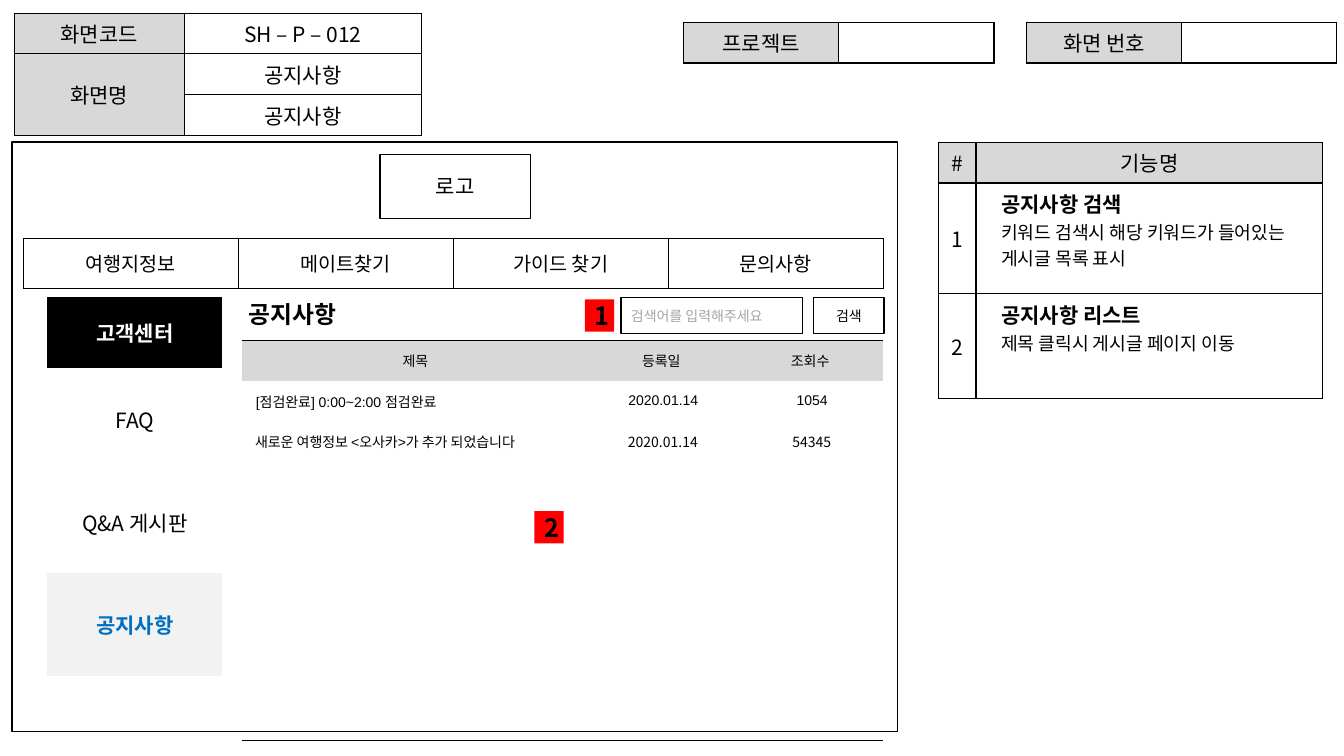
import dataclasses
import typing

import lxml.etree
import pptx
import pptx.dml.color
import pptx.enum.shapes
import pptx.enum.text
import pptx.oxml.ns
import pptx.util

SLIDE_WIDTH = pptx.util.Inches(13.33)
SLIDE_HEIGHT = pptx.util.Inches(7.5)
COLORS = {"black": "000000", "white": "FFFFFF", "header": "D8D8D8", "selected": "F2F2F2",
          "link": "0070C0", "hint": "A5A5A5", "marker": "FF0000"}
SANS = "Noto Sans CJK KR"
HEADER_ROW = 5.4
SIDES = {"L": "left", "R": "right", "T": "top", "B": "bottom"}
CENTER = pptx.enum.text.PP_ALIGN.CENTER
LEFT = pptx.enum.text.PP_ALIGN.LEFT
MIDDLE = pptx.enum.text.MSO_ANCHOR.MIDDLE
TOP = pptx.enum.text.MSO_ANCHOR.TOP


def across(percent: float) -> int:
    return round(SLIDE_WIDTH * percent / 100)


def down(percent: float) -> int:
    return round(SLIDE_HEIGHT * percent / 100)


@dataclasses.dataclass
class Line:
    text: str
    format: dict[str, typing.Any] = dataclasses.field(default_factory=dict)


@dataclasses.dataclass
class Cell:
    lines: list[Line]
    fill: str | None = None
    anchor: typing.Any = MIDDLE
    borders: tuple[str, ...] = tuple(SIDES)


@dataclasses.dataclass
class Grid:
    left: float
    top: float
    columns: list[float]
    rows: list[float]
    cells: list[list[Cell]]
    line_width: float = 1
    inset: float = 0.67
    size: float = 15


@dataclasses.dataclass
class Box:
    left: float
    top: float
    width: float
    height: float
    text: str = ""
    fill: str | None = "white"
    outlined: bool = True
    anchor: typing.Any = MIDDLE
    format: dict[str, typing.Any] = dataclasses.field(default_factory=dict)


def add_text(paragraph, text: str, *, size: float = 15, font: str = SANS, color: str = "black",
             bold: bool = False, align=CENTER, indent: float = 0) -> None:
    paragraph.alignment = align
    if indent:
        paragraph._p.get_or_add_pPr().set("marL", str(across(indent)))
    if not text:
        lxml.etree.SubElement(paragraph._p, pptx.oxml.ns.qn("a:endParaRPr"), sz=str(size * 100))
        return
    run = paragraph.add_run()
    run.text = text
    run.font.size = pptx.util.Pt(size)
    run.font.bold = bold
    run.font.name = font
    run.font.color.rgb = pptx.dml.color.RGBColor.from_string(COLORS[color])
    east_asian = lxml.etree.SubElement(run._r.get_or_add_rPr(), pptx.oxml.ns.qn("a:ea"))
    east_asian.set("typeface", SANS)


def set_fill(fill, color: str | None) -> None:
    if color is None:
        fill.background()
    else:
        fill.solid()
        fill.fore_color.rgb = pptx.dml.color.RGBColor.from_string(COLORS[color])


def set_borders(table_cell, borders: tuple[str, ...], width: float) -> None:
    properties = table_cell._tc.get_or_add_tcPr()
    for index, side in enumerate(SIDES):
        border = lxml.etree.Element(pptx.oxml.ns.qn(f"a:ln{side}"), w=str(pptx.util.Pt(width)))
        if side in borders:
            solid = lxml.etree.SubElement(border, pptx.oxml.ns.qn("a:solidFill"))
            lxml.etree.SubElement(solid, pptx.oxml.ns.qn("a:srgbClr"), val=COLORS["black"])
        else:
            lxml.etree.SubElement(border, pptx.oxml.ns.qn("a:noFill"))
        properties.insert(index, border)


def draw_grid(slide, grid: Grid):
    table = slide.shapes.add_table(
        len(grid.rows), len(grid.columns), across(grid.left), down(grid.top),
        across(sum(grid.columns)), down(sum(grid.rows))).table
    table.first_row = table.horz_banding = False
    for column, width in zip(table.columns, grid.columns):
        column.width = across(width)
    for row, height in zip(table.rows, grid.rows):
        row.height = down(height)
    for row, cells in zip(table.rows, grid.cells):
        for table_cell, cell in zip(row.cells, cells):
            table_cell.vertical_anchor = cell.anchor
            table_cell.margin_left = table_cell.margin_right = across(0.75)
            table_cell.margin_top = table_cell.margin_bottom = down(grid.inset)
            set_fill(table_cell.fill, cell.fill)
            set_borders(table_cell, cell.borders, grid.line_width)
            frame = table_cell.text_frame
            for index, line in enumerate(cell.lines):
                paragraph = frame.add_paragraph() if index else frame.paragraphs[0]
                add_text(paragraph, line.text, **({"size": grid.size} | line.format))
    return table


def draw_box(slide, box: Box) -> None:
    shape = slide.shapes.add_shape(
        pptx.enum.shapes.MSO_SHAPE.RECTANGLE, across(box.left), down(box.top),
        across(box.width), down(box.height))
    shape.shadow.inherit = False
    set_fill(shape.fill, box.fill)
    set_fill(shape.line.fill, "black" if box.outlined else None)
    if box.outlined:
        shape.line.width = pptx.util.Pt(1)
    frame = shape.text_frame
    frame.word_wrap = True
    frame.vertical_anchor = box.anchor
    if box.text:
        add_text(frame.paragraphs[0], box.text, **box.format)


def cell(text: str, fill: str | None = "white", anchor=MIDDLE,
         borders: tuple[str, ...] = tuple(SIDES), **format) -> Cell:
    return Cell([Line(text, format)], fill, anchor, borders)


def label_grid(left: float, label: str) -> Grid:
    return Grid(left, 2.93, [11.55] * 2, [HEADER_ROW], [[cell(label, "header"), cell("")]])


def feature(number: str, name: str, description: str) -> list[Cell]:
    lines = [Line(name, {"bold": True, "align": LEFT, "indent": 1.13}),
             Line(description, {"size": 13, "align": LEFT, "indent": 1.13})]
    return [cell(number), Cell(lines, "white", TOP)]


def notice(title: str, date: str, views: str, font: str, anchor) -> list[Cell]:
    return [cell(title, None, anchor, (), font="Arial", align=LEFT),
            *(cell(text, None, anchor, (), font=font) for text in (date, views))]


presentation = pptx.Presentation()
presentation.slide_width = SLIDE_WIDTH
presentation.slide_height = SLIDE_HEIGHT
slide = presentation.slides.add_slide(presentation.slide_layouts[6])

screen_table = draw_grid(slide, Grid(1.05, 1.73, [12.68, 17.63], [HEADER_ROW] * 3, [
    [cell("화면코드", "header"), cell("SH – P – 012")],
    [cell("화면명", "header"), cell("공지사항")],
    [cell("", "header"), cell("공지사항")]]))
screen_table.cell(1, 0).merge(screen_table.cell(2, 0))

draw_box(slide, Box(0.9, 18.8, 65.87, 78))

notice_rows = [
    [cell(text, "header", TOP, ("T",)) for text in ("\u00a0제목", "등록일", "조회수")],
    notice("\u00a0[점검완료] 0:00~2:00 점검완료", "\u00a02020.01.14", "\u00a01054", "Arial", MIDDLE),
    notice("\u00a0새로운 여행정보 <오사카>가 추가 되었습니다", "\u00a02020.01.14", "\u00a054345", SANS, TOP),
    *([cell("", None, borders=borders)] * 3 for borders in [()] * 6 + [("B",)])]

menu_cells = [cell("고객센터", "black", borders=(), color="white", bold=True),
              cell("FAQ", None, borders=()), cell("Q&A 게시판", None, borders=()),
              cell("공지사항", "selected", borders=(), color="link", bold=True)]

for grid in (
    label_grid(76.37, "화면 번호"),
    label_grid(50.86, "프로젝트"),
    Grid(69.84, 18.8, [2.78, 25.81], [HEADER_ROW, 14.67, 13.87], [
        [cell("#", "header"), cell("기능명", "header")],
        feature("1", "공지사항 검색", "키워드 검색시 해당 키워드가 들어있는 게시글 목록 표시"),
        feature("2", "공지사항 리스트", "제목 클릭시 게시글 페이지 이동")]),
    Grid(1.73, 31.6, [16] * 4, [6.53], [
        [cell(text, None, TOP) for text in ("여행지정보", "메이트찾기", "가이드 찾기", "문의사항")]],
        line_width=0.75, inset=1.33, size=14),
    Grid(3.53, 39.33, [13], [9.33] + [13.6] * 3, [[item] for item in menu_cells], inset=1.33),
    Grid(18, 45.07, [25.58, 11.25, 10.9], [5.27] * 10, notice_rows, inset=1.33, size=10),
):
    draw_grid(slide, grid)

marker_format = {"size": 18, "bold": True}
for box in (
    Box(28.28, 20.4, 11.18, 8.53, "로고"),
    Box(17.4, 38.93, 8.7, 5.2, "공지사항", None, False, TOP,
        {"size": 17, "font": "Arial", "bold": True}),
    Box(46.21, 39.33, 13.5, 4.8, "검색어를 입력해주세요",
        format={"size": 10, "color": "hint", "align": LEFT}),
    Box(60.54, 39.33, 5.25, 4.8, "검색", format={"size": 10}),
    Box(43.51, 39.6, 2.18, 4.27, "1", "marker", False, format=marker_format),
    Box(39.76, 67.6, 2.18, 4.27, "2", "marker", False, format=marker_format),
):
    draw_box(slide, box)

presentation.save("out.pptx")
